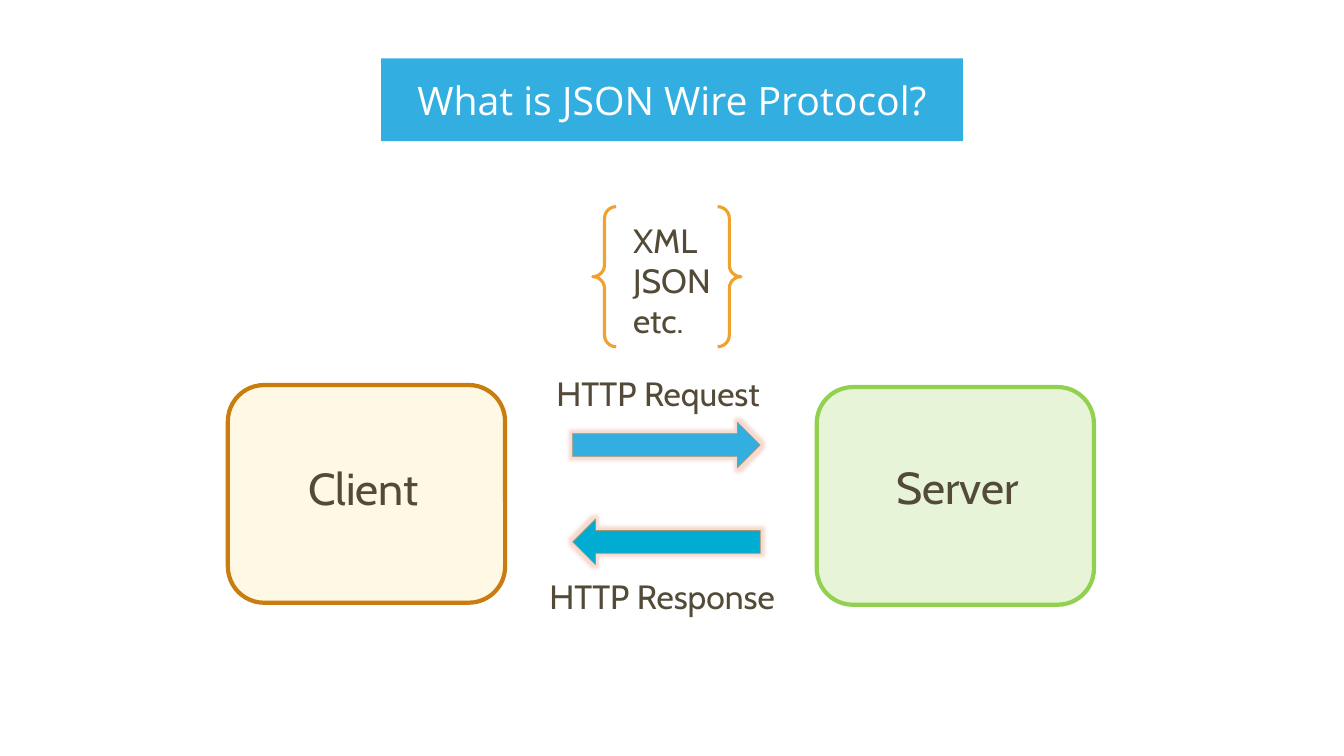
"""Builds a slide that explains the JSON Wire Protocol."""
from pptx import Presentation
from pptx.dml.color import RGBColor
from pptx.enum.shapes import MSO_SHAPE
from pptx.enum.text import MSO_ANCHOR, MSO_AUTO_SIZE, PP_ALIGN
from pptx.oxml.ns import qn
from pptx.util import Inches, Pt
from lxml import etree

ROUNDED, ARROW, BRACES = MSO_SHAPE.ROUNDED_RECTANGLE, MSO_SHAPE.RIGHT_ARROW, MSO_SHAPE.DOUBLE_BRACE
MIDDLE, CENTER, NO_FIT = MSO_ANCHOR.MIDDLE, PP_ALIGN.CENTER, MSO_AUTO_SIZE.NONE

COLORS = {
    "blue": "33AEE1", "cyan": "00ACD2", "tan": "A19574", "text": "534B38",
    "amber": "FFC000", "brown": "C87D0E", "green": "92D050",
    "orange": "F0A22E", "glow": "E8A58C", "white": "FFFFFF",
}
TITLE = "What is JSON Wire Protocol?"
TITLE_BOX = (3.78, 0.58, 5.77, 0.82)
ARROWS = [(4.19, 0, "blue"), (5.15, 180, "cyan")]
ARROW_LEFT, ARROW_SIZE = 5.68, (1.86, 0.45)
NODES = [
    (2.26, 3.82, "amber", 10, "brown"),
    (8.10, 3.84, "green", 22, "green"),
]
NODE_SIZE = (2.75, 2.16)
BRACE_BOX = (5.88, 2.05, 1.47, 1.39)
LABELS = [
    (["HTTP Response"], (5.35, 5.66, 3.44, 0.5), 24),
    (["HTTP Request"], (5.42, 3.65, 2.55, 0.5), 24),
    (["Client"], (2.96, 4.52, 1.73, 0.64), 32),
    (["Server"], (8.79, 4.51, 1.73, 0.64), 32),
    (["XML", "JSON", "etc."], (6.18, 2.13, 1.22, 1.31), 24),
]


def rgb(name):
    return RGBColor.from_string(COLORS[name])


def set_font(p, name, size, color):
    p.font.name, p.font.size = name, Pt(size)
    p.font.color.rgb = rgb(color)


def set_alpha(color, percent):
    etree.SubElement(color, qn("a:alpha"), val=str(percent * 1000))


def add_shape(s, kind, box, fill, line, width):
    sp = s.shapes.add_shape(kind, *map(Inches, box))
    sp.shadow.inherit = False
    if fill:
        sp.fill.solid()
        sp.fill.fore_color.rgb = rgb(fill)
    else:
        sp.fill.background()
    sp.line.color.rgb = rgb(line)
    sp.line.width = Pt(width)
    return sp


def add_glow(sp):
    effects = sp._element.spPr.find(qn("a:effectLst"))
    glow = etree.SubElement(effects, qn("a:glow"), rad=str(Pt(5)))
    set_alpha(etree.SubElement(glow, qn("a:srgbClr"), val=COLORS["glow"]), 40)


def add_label(s, lines, box, size):
    tf = s.shapes.add_textbox(*map(Inches, box)).text_frame
    tf.word_wrap = True
    tf.text = "\n".join(lines)
    for p in tf.paragraphs:
        set_font(p, "Cabin", size, "text")


def format_title(sp):
    sp.left, sp.top, sp.width, sp.height = map(Inches, TITLE_BOX)
    geometry = etree.SubElement(sp._element.spPr, qn("a:prstGeom"), prst="roundRect")
    etree.SubElement(geometry, qn("a:avLst"))
    sp.fill.solid()
    sp.fill.fore_color.rgb = rgb("blue")
    tf = sp.text_frame
    tf.text = TITLE
    tf.auto_size, tf.vertical_anchor = NO_FIT, MIDDLE
    p = tf.paragraphs[0]
    p.alignment = CENTER
    set_font(p, "Open Sans", 28, "white")


def main():
    prs = Presentation()
    prs.slide_width, prs.slide_height = Inches(13.33), Inches(7.5)
    s = prs.slides.add_slide(prs.slide_layouts[5])
    format_title(s.shapes.title)
    for top, rotation, fill in ARROWS:
        sp = add_shape(s, ARROW, (ARROW_LEFT, top, *ARROW_SIZE), fill, "tan", 0.5)
        sp.rotation = rotation
        add_glow(sp)
    for left, top, fill, opacity, line in NODES:
        sp = add_shape(s, ROUNDED, (left, top, *NODE_SIZE), fill, line, 3)
        set_alpha(sp._element.spPr.find(qn("a:solidFill"))[0], opacity)
    add_shape(s, BRACES, BRACE_BOX, None, "orange", 2.25)
    for lines, box, size in LABELS:
        add_label(s, lines, box, size)
    prs.save("out.pptx")


if __name__ == "__main__":
    main()
